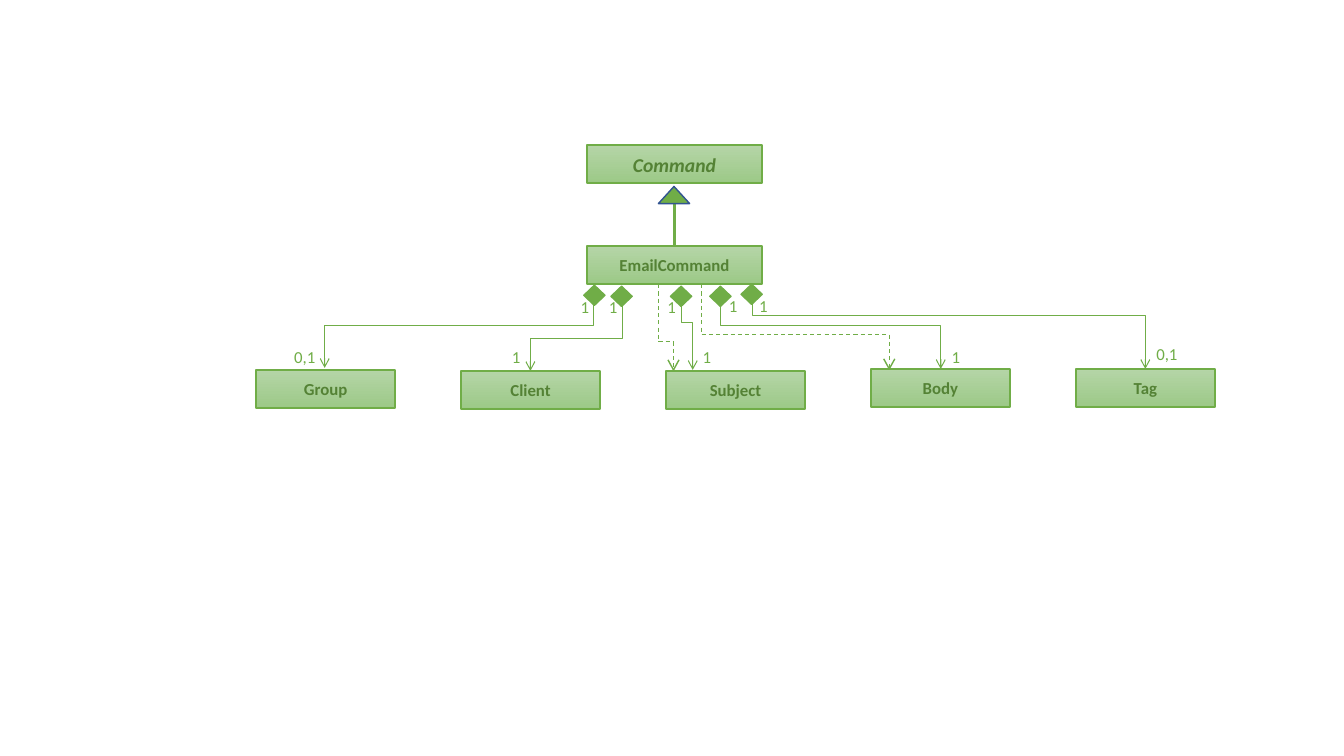
from itertools import pairwise

from lxml import etree
from pptx import Presentation
from pptx.dml.color import RGBColor
from pptx.enum import dml, shapes, text
from pptx.oxml.ns import qn
from pptx.util import Inches, Pt

GREEN = "70AD47"
DARK_GREEN = "548235"


def rgb(value):
    return RGBColor.from_string(value)


def write(shape, words, size=12, color=GREEN, bold=False, italic=False, align=text.PP_ALIGN.LEFT):
    paragraph = shape.text_frame.paragraphs[0]
    paragraph.alignment = align
    run = paragraph.add_run()
    run.text = words
    run.font.name = "Calibri"
    run.font.size = Pt(size)
    run.font.bold = bold
    run.font.italic = italic
    run.font.color.rgb = rgb(color)


def add_shape(slide, kind, left, top, width, height, line=GREEN, weight=1.0):
    shape = slide.shapes.add_shape(kind, Inches(left), Inches(top), Inches(width), Inches(height))
    shape.shadow.inherit = False
    shape.fill.solid()
    shape.fill.fore_color.rgb = rgb(GREEN)
    shape.line.color.rgb = rgb(line)
    shape.line.width = Pt(weight)
    return shape


def add_class_box(slide, name, left, top, width, size=12, italic=False):
    box = add_shape(slide, shapes.MSO_SHAPE.RECTANGLE, left, top, width, 0.38, weight=1.5)
    box.fill.gradient()
    box.fill.gradient_angle = 270
    for stop, color in zip(box.fill.gradient_stops, ("B5D5A7", "9CC987")):
        stop.color.rgb = rgb(color)
    box.text_frame.vertical_anchor = text.MSO_ANCHOR.MIDDLE
    write(box, name, size, DARK_GREEN, True, italic, text.PP_ALIGN.CENTER)
    return box


def add_label(slide, words, left, top, width=0.3):
    label = slide.shapes.add_textbox(Inches(left), Inches(top), Inches(width), Inches(0.3))
    label.text_frame.word_wrap = True
    write(label, words)


def add_line(slide, start, end, weight=0.75, dashed=False, kind=shapes.MSO_CONNECTOR.STRAIGHT):
    line = slide.shapes.add_connector(kind, *(Inches(value) for value in (*start, *end)))
    line.line.color.rgb = rgb(GREEN)
    line.line.width = Pt(weight)
    if dashed:
        line.line.dash_style = dml.MSO_LINE.DASH
    etree.SubElement(line._element.spPr, qn("a:effectLst"))
    return line


def add_composition(slide, start, end, bend):
    (x1, y1), (x2, y2) = start, end
    center_x, center_y = (x1 + x2) / 2, (y1 + y2) / 2
    half_height = abs(x2 - x1) / 2
    half_width = (y2 - y1) / 2
    rotation = 90
    if x2 > x1:
        half_width, rotation = -half_width, 270
    arrow = add_line(
        slide,
        (center_x - half_width, center_y - half_height),
        (center_x + half_width, center_y + half_height),
        kind=shapes.MSO_CONNECTOR.ELBOW,
    )
    properties = arrow._element.spPr
    properties.find(qn("a:xfrm")).set("rot", str(rotation * 60000))
    geometry = properties.find(qn("a:prstGeom"))
    guides = geometry.find(qn("a:avLst"))
    if guides is None:
        guides = etree.SubElement(geometry, qn("a:avLst"))
    etree.SubElement(guides, qn("a:gd"), name="adj1", fmla=f"val {round(bend * 100000)}")
    etree.SubElement(arrow.line._get_or_add_ln(), qn("a:tailEnd"), type="arrow")


def add_dependency(slide, points):
    for start, end in pairwise(points):
        add_line(slide, start, end, dashed=True)
    x, y = points[-1]
    for side in (-0.055, 0.055):
        add_line(slide, (x, y), (x + side, y - 0.1), weight=1)


def main():
    presentation = Presentation()
    presentation.slide_width = Inches(13.33)
    presentation.slide_height = Inches(7.5)
    slide = presentation.slides.add_slide(presentation.slide_layouts[6])

    email_command = add_class_box(slide, "EmailCommand", 5.82, 2.44, 1.74)
    inheritance = add_line(slide, (6.69, 2.44), (6.69, 2.02), weight=1.5)
    inheritance.begin_connect(email_command, 0)
    add_shape(slide, shapes.MSO_SHAPE.ISOSCELES_TRIANGLE, 6.53, 1.85, 0.31, 0.17, line="325491")
    add_class_box(slide, "Command", 5.82, 1.44, 1.74, size=14, italic=True)

    parts = [("Group", 3.67), ("Client", 3.68), ("Subject", 3.68), ("Body", 3.66), ("Tag", 3.66)]
    for column, (name, top) in enumerate(parts):
        add_class_box(slide, name, 2.54 + column * 2.0325, top, 1.38)

    compositions = [
        ((5.89, 2.99), (3.22, 3.65), 0.37),
        ((6.17, 3.04), (5.26, 3.68), 0.5),
        ((6.76, 3.04), (6.87, 3.67), 0.26),
        ((7.15, 3.04), (9.33, 3.66), 0.31),
        ((7.46, 3.02), (11.36, 3.66), 0.18),
    ]
    for start, end, bend in compositions:
        add_composition(slide, start, end, bend)

    for left, top in [(5.79, 2.83), (6.06, 2.84), (6.65, 2.84), (7.04, 2.84), (7.35, 2.82)]:
        add_shape(slide, shapes.MSO_SHAPE.DIAMOND, left, top, 0.21, 0.2)

    for left, top in [(2.82, 3.39), (11.37, 3.36)]:
        add_label(slide, "0,1", left, top, 0.63)
    for left in (4.98, 6.87, 9.34):
        add_label(slide, "1", left, 3.39)
    for left, top in [(5.66, 2.89), (5.94, 2.89), (6.52, 2.89), (7.13, 2.88), (7.43, 2.88)]:
        add_label(slide, "1", left, top)

    add_dependency(slide, [(6.53, 2.82), (6.53, 3.39), (6.68, 3.39), (6.68, 3.67)])
    add_dependency(slide, [(6.96, 2.82), (6.96, 3.32), (8.82, 3.32), (8.82, 3.66)])

    presentation.save("out.pptx")


if __name__ == "__main__":
    main()
